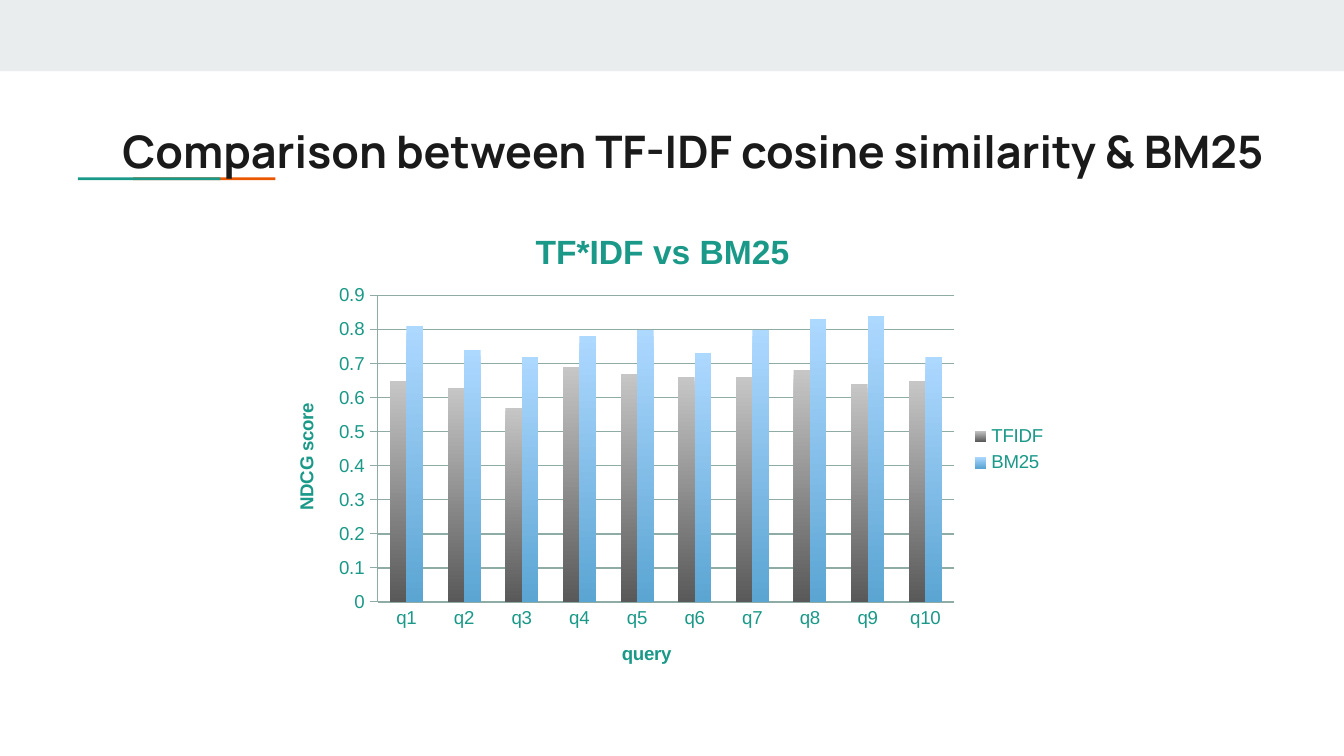
from dataclasses import dataclass
from lxml.etree import SubElement
from pptx import Presentation
from pptx.chart.data import CategoryChartData
from pptx.dml.color import RGBColor
from pptx.enum.chart import XL_CHART_TYPE, XL_LEGEND_POSITION, XL_TICK_MARK
from pptx.enum.shapes import MSO_SHAPE
from pptx.enum.text import MSO_ANCHOR, MSO_AUTO_SIZE, PP_ALIGN
from pptx.oxml.ns import qn
from pptx.util import Inches, Pt


@dataclass(frozen=True)
class Theme:
    band: str = "E9EDEE"
    ink: str = "1A1A1A"
    teal: str = "1A9988"
    orange: str = "EB5600"
    grid: str = "8FABA6"
    head: int = 24
    chart: int = 18
    small: int = 10
    title: str = "Manrope"
    body: str = "Arial"


THEME = Theme()
WIDE, HIGH = 5.92, 3.61  # chart size in inches
# Name, scores, and the top and bottom colours of the columns
SERIES = [
    ("TFIDF", (0.65, 0.63, 0.57, 0.69, 0.67, 0.66, 0.66, 0.68, 0.64, 0.65),
     ("C6C6C6", "595959")),
    ("BM25", (0.81, 0.74, 0.72, 0.78, 0.8, 0.73, 0.8, 0.83, 0.84, 0.72),
     ("ADD8FF", "5BA5D3")),
]


def color(code):
    return RGBColor.from_string(code)


def style(font, size, code, face, bold=False):
    font.size, font.name, font.bold = Pt(size), face, bold
    font.color.rgb = color(code)


def add_bar(slide, left, top, width, height, code):
    bar = slide.shapes.add_shape(
        MSO_SHAPE.RECTANGLE, *map(Inches, (left, top, width, height)))
    bar.shadow.inherit = False
    bar.fill.solid()
    bar.fill.fore_color.rgb = color(code)
    bar.line.fill.background()


def set_title(slide, text):
    """Fill the title placeholder and bring it in front of the bars."""
    title = slide.shapes.title
    title.left, title.top = Inches(0.81), Inches(0.76)
    title.width, title.height = Inches(9.27), Inches(0.94)
    frame = title.text_frame
    frame.text = text
    frame.word_wrap = True
    frame.auto_size = MSO_AUTO_SIZE.NONE
    frame.vertical_anchor = MSO_ANCHOR.TOP
    frame.margin_left = frame.margin_right = Inches(0.1)
    frame.margin_top = frame.margin_bottom = Inches(0.1)
    para = frame.paragraphs[0]
    para.alignment, para.line_spacing = PP_ALIGN.LEFT, 1.15
    style(para.runs[0].font, THEME.head, THEME.ink, THEME.title, True)
    title.element.getparent().append(title.element)


def name_part(part, text, size):
    """Give a chart or an axis its bold title."""
    frame = part.text_frame
    frame.text = text
    style(frame.paragraphs[0].runs[0].font, size, THEME.teal, THEME.body, True)


def set_line(line, width):
    line.color.rgb = color(THEME.grid)
    line.width = Pt(width)


def set_axis(axis, text, tick):
    name_part(axis.axis_title, text, THEME.small)
    axis.major_tick_mark, axis.minor_tick_mark = tick, XL_TICK_MARK.NONE
    set_line(axis.format.line, 0.5)


def shade(series, stops):
    fill = series.format.fill
    fill.gradient()
    fill.gradient_angle = 270
    for stop, place, code in zip(fill.gradient_stops, (0, 1), stops):
        stop.position = place
        stop.color.rgb = color(code)


def place_plot(chart, **parts):
    """Fix the inner plot area as fractions of the chart."""
    area = chart.element.find(".//" + qn("c:plotArea"))
    layout = area.find(qn("c:layout"))
    if layout is None:
        layout = SubElement(area, qn("c:layout"))
        area.insert(0, layout)
    manual = SubElement(layout, qn("c:manualLayout"))
    rules = {"layoutTarget": "inner", "xMode": "edge", "yMode": "edge", **parts}
    for key, value in rules.items():
        SubElement(manual, qn(f"c:{key}")).set("val", str(value))


def add_scores(slide):
    data = CategoryChartData()
    data.categories = [f"q{num}" for num in range(1, 11)]
    for name, scores, _ in SERIES:
        data.add_series(name, scores)
    box = map(Inches, (1.97, 1.54, WIDE, HIGH))
    chart = slide.shapes.add_chart(
        XL_CHART_TYPE.COLUMN_CLUSTERED, *box, data).chart
    style(chart.font, THEME.small, THEME.teal, THEME.body)
    name_part(chart.chart_title, "TF*IDF vs BM25", THEME.chart)
    chart.chart_title.include_in_layout = False
    chart.has_legend = True
    chart.legend.position = XL_LEGEND_POSITION.RIGHT
    chart.legend.include_in_layout = False
    set_axis(chart.category_axis, "query", XL_TICK_MARK.NONE)
    axis = chart.value_axis
    set_axis(axis, "NDCG score", XL_TICK_MARK.OUTSIDE)
    axis.minimum_scale, axis.maximum_scale, axis.major_unit = 0, 0.9, 0.1
    axis.has_major_gridlines = True
    set_line(axis.major_gridlines.format.line, 0.75)
    plot = chart.plots[0]
    plot.gap_width, plot.overlap, plot.vary_by_categories = 150, 0, False
    for series, (_, _, stops) in zip(plot.series, SERIES):
        shade(series, stops)
    place_plot(chart, x=0.84 / WIDE, y=0.66 / HIGH,
               w=4.29 / WIDE, h=2.28 / HIGH)


def main():
    deck = Presentation()
    deck.slide_width = Inches(10)
    deck.slide_height = deck.slide_width * 9 // 16
    slide = deck.slides.add_slide(deck.slide_layouts[5])
    add_bar(slide, 0, 0, 10, 0.53, THEME.band)
    for left, code in ((0.99, THEME.orange), (0.58, THEME.teal)):
        add_bar(slide, left, 1.32, 1.06, 0.02, code)
    set_title(slide, "Comparison between TF-IDF cosine similarity & BM25")
    add_scores(slide)
    deck.save("out.pptx")


if __name__ == "__main__":
    main()
